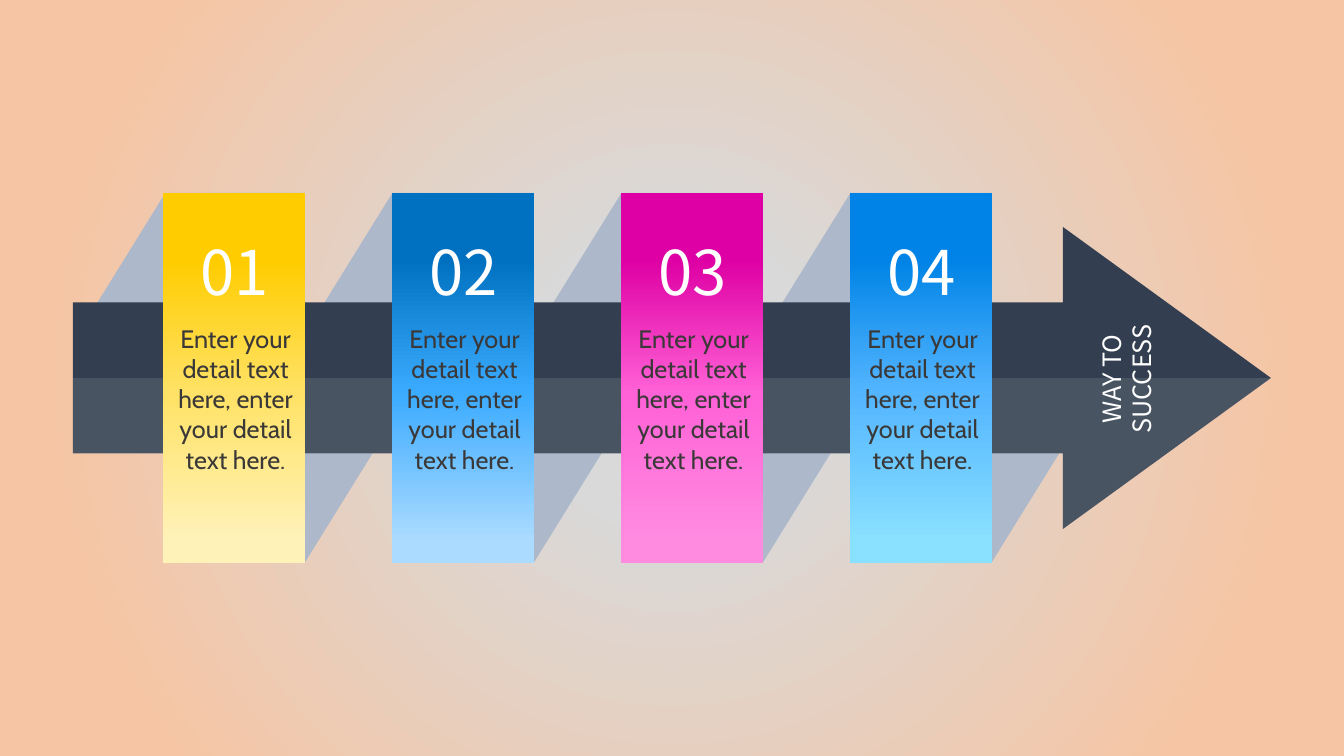
from lxml import etree
from pptx import Presentation
from pptx import util as u
from pptx.dml.color import RGBColor
from pptx.enum import shapes, text
from pptx.oxml import parse_xml
from pptx.oxml.ns import nsdecls, qn

EMU_PER_PX = 914400 / 100.8
COLORS = {
    "band": "ADB9CA",
    "arrow": "333F50",
    "white": "FFFFFF",
    "body": "3B3838",
}
BACKGROUND = [(18, "D9D9D9"), (82, "F6C5A4")]
CARDS = [
    ("01", ("FFCC00", "FFE265", "FFF2B9")),
    ("02", ("0070C0", "3BABFF", "ABDBFF")),
    ("03", ("DE00A4", "FF61D6", "FF8BE1")),
    ("04", ("0083E6", "53B5FF", "89E0FF")),
]
DETAIL = "Enter your detail text here, enter your detail text here."
NUMBER_FONT, BODY_FONT = "Noto Sans CJK SC", "Cabin"
DOWNWARD = '<a:lin ang="5400000" scaled="0"/>'
RADIAL = ('<a:path path="circle">'
          '<a:fillToRect l="50000" t="50000" r="50000" b="50000"/></a:path>')

CARD_LEFT, CARD_TOP, CARD_W, CARD_H, PITCH = 163, 193, 142, 370, 229
MIDDLE = CARD_TOP + CARD_H // 2
SLANT = 0.62


def px(n):
    return u.Emu(round(n * EMU_PER_PX))


class Deck:
    def __init__(self, width, height):
        self.prs = Presentation()
        self.prs.slide_width, self.prs.slide_height = px(width), px(height)
        self.s = self.prs.slides.add_slide(self.prs.slide_layouts[6])

    def gradient(self, owner, fill, stops, direction):
        """Fill a shape or background with (percent, colour) stops."""
        fill.gradient()
        old = owner.element.find(".//" + qn("a:gradFill"))
        marks = "".join(
            f'<a:gs pos="{pos * 1000}"><a:srgbClr val="{color}"/></a:gs>'
            for pos, color in stops)
        old.getparent().replace(old, parse_xml(
            f'<a:gradFill {nsdecls("a")} rotWithShape="1">'
            f'<a:gsLst>{marks}</a:gsLst>{direction}</a:gradFill>'))

    def plain(self, sp, color=None):
        sp.shadow.inherit = False
        sp.line.fill.background()
        if color:
            sp.fill.solid()
            sp.fill.fore_color.rgb = RGBColor.from_string(COLORS[color])
        return sp

    def shape(self, kind, x, y, w, h, color=None, adjust=()):
        sp = self.s.shapes.add_shape(kind, px(x), px(y), px(w), px(h))
        for i, value in enumerate(adjust):
            sp.adjustments[i] = value
        return self.plain(sp, color)

    def band(self, x, y, w, h):
        return self.shape(shapes.MSO_SHAPE.PARALLELOGRAM, x, y, w, h, "band", [SLANT])

    def polygon(self, points, color, opacity):
        builder = self.s.shapes.build_freeform(*points[0], scale=EMU_PER_PX)
        builder.add_line_segments(points[1:], close=True)
        sp = self.plain(builder.convert_to_shape(), color)
        tint = sp.element.spPr.find(qn("a:solidFill"))[0]
        etree.SubElement(tint, qn("a:alpha"), val=str(opacity * 1000))
        return sp

    def card(self, x, colors):
        sp = self.shape(shapes.MSO_SHAPE.RECTANGLE, x, CARD_TOP, CARD_W, CARD_H)
        self.gradient(sp, sp.fill, zip((18, 54, 94), colors), DOWNWARD)

    def text(self, words, x, y, w, h, size, font, color, rotation=0):
        sp = self.s.shapes.add_textbox(px(x), px(y), px(w), px(h))
        sp.rotation = rotation
        tf = sp.text_frame
        tf.word_wrap = True
        tf.auto_size = text.MSO_AUTO_SIZE.SHAPE_TO_FIT_TEXT
        p = tf.paragraphs[0]
        p.text = words
        p.alignment = text.PP_ALIGN.CENTER
        p.font.size, p.font.name = u.Pt(size), font
        p.font.color.rgb = RGBColor.from_string(COLORS[color])

    def arrow(self, x, y, w, h, head):
        """Draw a right arrow whose lower half is lighter."""
        main = self.shape(shapes.MSO_SHAPE.RIGHT_ARROW, x, y, w, h, "arrow",
                          [0.5, head / h])
        neck, middle, shaft = x + w - head, y + h / 2, y + h * 3 / 4
        lower = self.polygon([(x, middle), (x + w, middle), (neck, y + h),
                              (neck, shaft), (x, shaft)], "white", 11)
        self.s.shapes.add_group_shape([main, lower])


def main():
    deck = Deck(1344, 756)
    deck.gradient(deck.s, deck.s.background.fill, BACKGROUND, RADIAL)
    lefts = [CARD_LEFT + i * PITCH for i in range(len(CARDS))]

    deck.band(91, CARD_TOP, 214, 120)
    for x in lefts[:-1]:
        deck.band(x, CARD_TOP, PITCH + CARD_W, CARD_H)
    deck.band(lefts[-1], MIDDLE, 256, CARD_H // 2)
    deck.arrow(73, 227, 1198, 302, 208)

    for x, (_, colors) in zip(lefts, CARDS):
        deck.card(x, colors)
    for x, (number, _) in zip(lefts, CARDS):
        deck.text(number, x + 18, 229, 108, 85, 44, NUMBER_FONT, "white")
        deck.text(DETAIL, x + 2, 318, 141, 163, 18, BODY_FONT, "body")
    deck.text("WAY TO SUCCESS", 1048, 343, 159, 72, 18, NUMBER_FONT, "white", 270)

    deck.prs.save("out.pptx")


if __name__ == "__main__":
    main()
